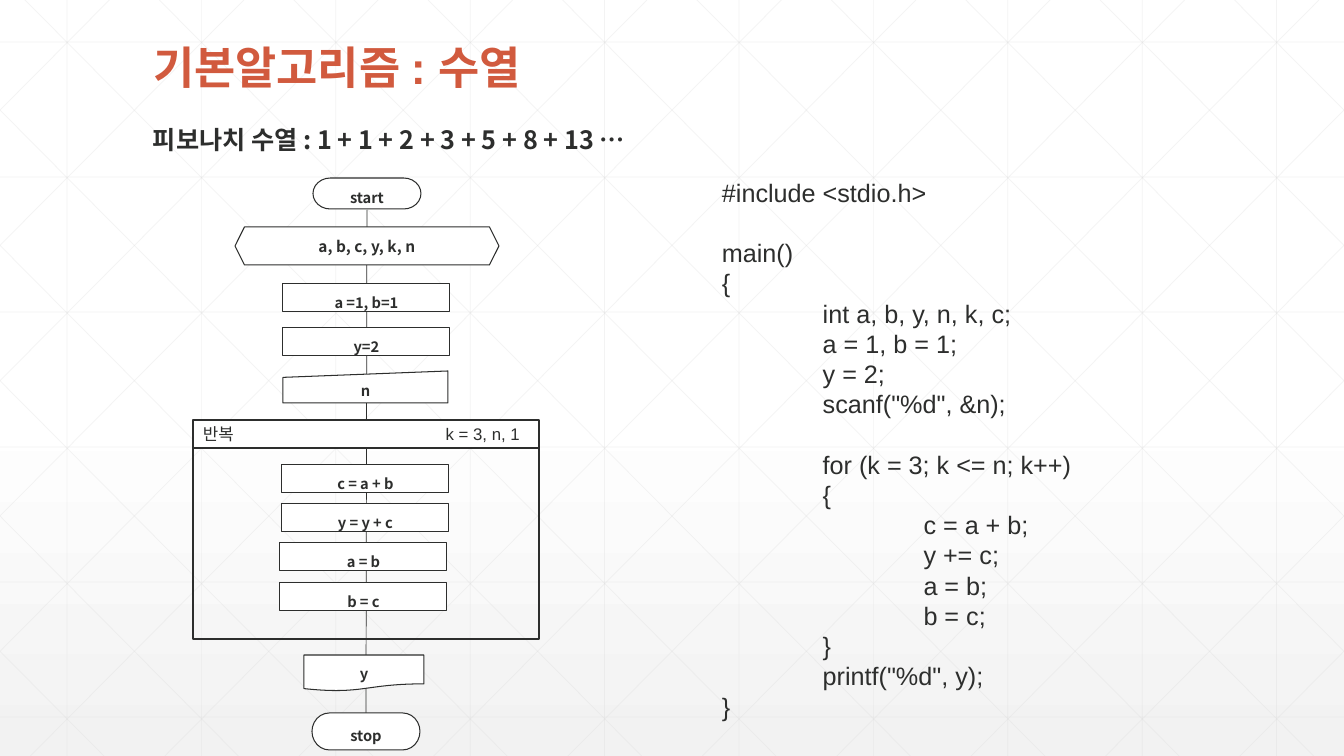
from lxml.etree import SubElement
from pptx import Presentation
from pptx.dml.color import RGBColor
from pptx.enum.shapes import MSO_CONNECTOR as Connector, MSO_SHAPE as Shape
from pptx.enum.text import MSO_ANCHOR as Anchor, PP_ALIGN as Align
from pptx.oxml.ns import qn
from pptx.util import Emu, Pt

SCALE = 914400 / 100.8
WIDTH, HEIGHT = 1344, 756
INK = RGBColor(0x2D, 0x2E, 0x2D)
ORANGE = RGBColor(0xD1, 0x5A, 0x3E)
GRID = RGBColor(0xD9, 0xD9, 0xD9)
WHITE = RGBColor(0xFF, 0xFF, 0xFF)
PALE = RGBColor(0xF2, 0xF2, 0xF2)
NOTO = "Noto Sans CJK KR"
ARIAL = "Arial"

STEPS = [
    (Shape.FLOWCHART_TERMINATOR, 313, 178, 108, 31, "start", {}),
    (Shape.FLOWCHART_TERMINATOR, 312, 713, 108, 37, "stop", {}),
    (Shape.HEXAGON, 235, 227, 264, 38, "a, b, c, y, k, n",
     {"size": 11, "spacing": 1}),
    (Shape.FLOWCHART_DOCUMENT, 304, 655, 120, 36, "y", {}),
    (Shape.FLOWCHART_MANUAL_INPUT, 283, 371, 165, 32, "n",
     {"spacing": 1, "before": 0}),
]
PROCESSES = [
    (283, 284, "a =1, b=1"),
    (283, 328, "y=2"),
    (282, 465, "c = a + b"),
    (282, 504, "y = y + c"),
    (280, 543, "a = b"),
    (280, 583, "b = c"),
]
CODE = [
    (0, "#include <stdio.h>", False),
    (0, "main()", True),
    (0, "{", False),
    (1, "int a, b, y, n, k, c;", False),
    (1, "a = 1, b = 1;", False),
    (1, "y = 2;", False),
    (1, 'scanf("%d", &n);', False),
    (1, "for (k = 3; k <= n; k++)", True),
    (1, "{", False),
    (2, "c = a + b;", False),
    (2, "y += c;", False),
    (2, "a = b;", False),
    (2, "b = c;", False),
    (1, "}", False),
    (1, 'printf("%d", y);', False),
    (0, "}", False),
]


def px(value):
    return Emu(round(value * SCALE))


def set_alpha(color_element, percent):
    SubElement(color_element, qn("a:alpha")).set("val", str(percent * 1000))


def write(para, text, size=18, font=NOTO, color=INK, bold=False,
          align=Align.LEFT, spacing=1, before=0, indent=0):
    para.alignment = align
    para.line_spacing = spacing
    para.space_before = Pt(before)
    if indent:
        para._p.get_or_add_pPr().set("marL", str(px(indent)))
    span = para.add_run()
    span.text = text
    span.font.size = Pt(size)
    span.font.bold = bold
    span.font.name = font
    span.font.color.rgb = color
    SubElement(span.font._element, qn("a:ea")).set("typeface", NOTO)


def add_text_box(slide, left, top, width, height):
    box = slide.shapes.add_textbox(px(left), px(top), px(width), px(height))
    box.text_frame.word_wrap = True
    return box.text_frame


def add_line(slide, start, end, color=INK, alpha=100):
    line = slide.shapes.add_connector(
        Connector.STRAIGHT, *(px(value) for value in (*start, *end)))
    line.line.color.rgb = color
    line.line.width = Pt(0.5)
    properties = line.element.spPr
    if alpha < 100:
        set_alpha(properties.find(".//" + qn("a:srgbClr")), alpha)
    SubElement(properties, qn("a:effectLst"))


def add_outline(slide, kind, left, top, width, height, weight=0.75, fill=WHITE):
    shape = slide.shapes.add_shape(
        kind, px(left), px(top), px(width), px(height))
    shape.shadow.inherit = False
    if fill is None:
        shape.fill.background()
    else:
        shape.fill.solid()
        shape.fill.fore_color.rgb = fill
    shape.line.color.rgb = INK
    shape.line.width = Pt(weight)
    frame = shape.text_frame
    frame.word_wrap = True
    frame.vertical_anchor = Anchor.MIDDLE
    return frame


def add_step(slide, kind, left, top, width, height, text,
             size=10.5, spacing=1.5, before=2):
    frame = add_outline(slide, kind, left, top, width, height)
    frame.margin_left = frame.margin_right = 0
    frame.margin_top = frame.margin_bottom = 0
    write(frame.paragraphs[0], text, size=size, bold=True,
          align=Align.CENTER, spacing=spacing, before=before)


def add_background(slide):
    fill = slide.background.fill
    fill.gradient()
    fill.gradient_angle = 270
    stops = slide.element.find(".//" + qn("a:gsLst"))
    for stop in list(stops):
        stops.remove(stop)
    for position, color, alpha in ((0, WHITE, 100), (53, WHITE, 100), (100, PALE, 65)):
        stop = SubElement(stops, qn("a:gs"))
        stop.set("pos", str(position * 1000))
        tone = SubElement(stop, qn("a:srgbClr"))
        tone.set("val", str(color))
        set_alpha(tone, alpha)


def add_grid(slide):
    pitch, run = 134.4, 751
    lines = []
    for index in range(10):
        x = 67 + index * pitch
        lines.append(((x, 0), (x, HEIGHT)))
    for index in range(6):
        y = 42 + index * 135
        lines.append(((0, y), (WIDTH, y)))
    for index in range(-5, 10):
        x = 25 + index * pitch
        left, right = max(x, 0), min(x + run, WIDTH)
        top, bottom = ((edge - x) * HEIGHT / run for edge in (left, right))
        lines.append(((left, top), (right, bottom)))
        lines.append(((WIDTH - left, top), (WIDTH - right, bottom)))
    for start, end in lines:
        add_line(slide, start, end, color=GRID, alpha=30)


def add_title(slide, text):
    title = slide.shapes.title
    title.left, title.top, title.width, title.height = map(px, (143, 39, 1058, 61))
    title.text_frame.vertical_anchor = Anchor.MIDDLE
    write(title.text_frame.paragraphs[0], text, size=32, font=ARIAL,
          color=ORANGE, bold=True, spacing=0.9)
    title.element.getparent().append(title.element)


def add_loop(slide):
    add_outline(slide, Shape.RECTANGLE, 193, 448, 346, 191, weight=1, fill=None)
    header = add_outline(slide, Shape.RECTANGLE, 193, 420, 346, 28, weight=1)
    para = header.paragraphs[0]
    write(para, "반복\tk = 3, n, 1", size=12, font=ARIAL)
    tabs = SubElement(para._p.get_or_add_pPr(), qn("a:tabLst"))
    tab = SubElement(tabs, qn("a:tab"))
    tab.set("pos", str(px(317)))
    tab.set("algn", "r")


def add_code(slide):
    frame = add_text_box(slide, 712, 172, 620, 559)
    for index, (level, text, gap) in enumerate(CODE):
        para = frame.add_paragraph() if index else frame.paragraphs[0]
        write(para, text, font=ARIAL, indent=level * 100.8,
              before=21.6 if gap else 0)


def main():
    deck = Presentation()
    deck.slide_width, deck.slide_height = px(WIDTH), px(HEIGHT)
    slide = deck.slides.add_slide(deck.slide_layouts[5])
    add_background(slide)
    add_grid(slide)
    add_line(slide, (367, 210), (366, 713))
    add_title(slide, "기본알고리즘 : 수열")
    subtitle = add_text_box(slide, 143, 104, 1058, 56)
    write(subtitle.paragraphs[0], "피보나치 수열 : 1 + 1 + 2 + 3 + 5 + 8 + 13 …",
          bold=True, spacing=1.5, before=3.6)
    add_code(slide)
    add_loop(slide)
    for *place, text, style in STEPS:
        add_step(slide, *place, text, **style)
    for left, top, text in PROCESSES:
        add_step(slide, Shape.RECTANGLE, left, top, 167, 28, text)
    deck.save("out.pptx")


main()
